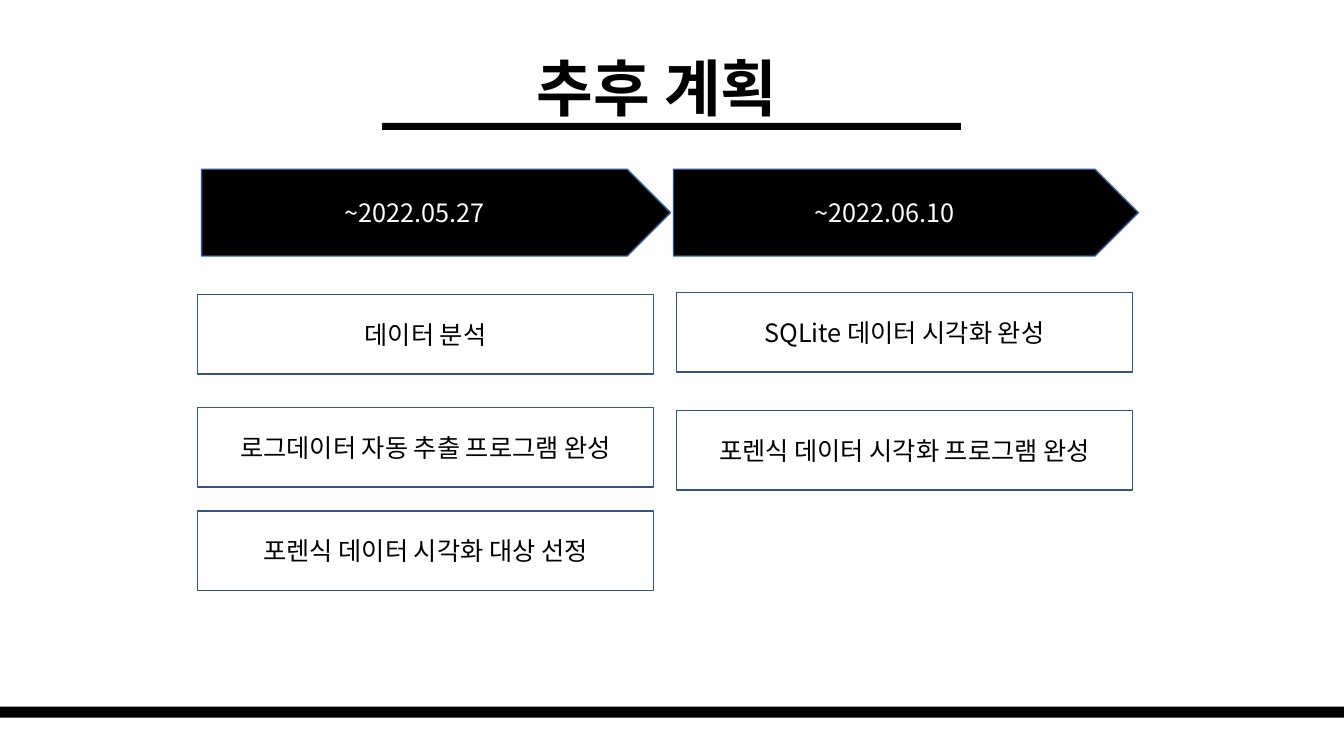
from lxml import etree
from pptx import Presentation
from pptx import util as u
from pptx.dml.color import RGBColor
from pptx.enum import shapes, text
from pptx.oxml.ns import qn

FONT = "Noto Sans CJK KR"
BLACK, WHITE, BLUE = "000000", "FFFFFF", "325491"
BOX_W, BOX_H = 4.52, 0.79
ARROW_TOP, ARROW_H = 1.68, 0.86


def write(shape, wording, color, size, bold=False):
    """Put one centred line in the shape, in the same font for Latin and Korean."""
    shape.text_frame.text = wording
    paragraph = shape.text_frame.paragraphs[0]
    paragraph.alignment = text.PP_ALIGN.CENTER
    run = paragraph.runs[0]
    for name, value in {"name": FONT, "size": u.Pt(size), "bold": bold}.items():
        setattr(run.font, name, value)
    run.font.color.rgb = RGBColor.from_string(color)
    etree.SubElement(run.font._element, qn("a:ea"), typeface=FONT)


def add_block(kind, left, top, width, height, fill, line=None):
    block = slide.shapes.add_shape(kind, *map(u.Inches, (left, top, width, height)))
    block.shadow.inherit = False
    block.fill.solid()
    block.fill.fore_color.rgb = RGBColor.from_string(fill)
    if line:
        block.line.color.rgb = RGBColor.from_string(line)
        block.line.width = u.Pt(1)
    else:
        block.line.fill.background()
    return block


prs = Presentation()
prs.slide_width, prs.slide_height = u.Inches(13.33), u.Inches(7.5)
slide = prs.slides.add_slide(prs.slide_layouts[5])

# Heading with its underline, and the footer bar
heading = slide.shapes.title
place = {"left": 5.19, "top": 0.45, "width": 2.66, "height": 0.84}
for name, inches in place.items():
    setattr(heading, name, u.Inches(inches))
write(heading, "추후 계획", BLACK, 44, bold=True)
frame_format = {
    "word_wrap": False,
    "auto_size": text.MSO_AUTO_SIZE.SHAPE_TO_FIT_TEXT,
    "vertical_anchor": text.MSO_ANCHOR.TOP,
}
for name, value in frame_format.items():
    setattr(heading.text_frame, name, value)

for bar in [(3.79, 1.22, 5.74, 0.07), (0, 7.01, 13.33, 0.11)]:
    add_block(shapes.MSO_SHAPE.RECTANGLE, *bar, BLACK)

# One column per deadline: arrow left and width, box left, tasks by top edge
phases = [
    ("~2022.05.27", 2, 4.65, 1.96, {
        2.92: "데이터 분석",
        4.04: "로그데이터 자동 추출 프로그램 완성",
        5.07: "포렌식 데이터 시각화 대상 선정",
    }),
    ("~2022.06.10", 6.68, 4.61, 6.71, {
        2.9: "SQLite 데이터 시각화 완성",
        4.07: "포렌식 데이터 시각화 프로그램 완성",
    }),
]
for deadline, arrow_left, arrow_width, box_left, tasks in phases:
    arrow = add_block(shapes.MSO_SHAPE.RIGHT_ARROW, arrow_left, ARROW_TOP,
                      arrow_width, ARROW_H, BLACK, BLUE)
    arrow.adjustments[0] = 1
    write(arrow, deadline, WHITE, 18)
    for top, task in tasks.items():
        box = add_block(shapes.MSO_SHAPE.RECTANGLE, box_left, top,
                        BOX_W, BOX_H, WHITE, BLUE)
        write(box, task, BLACK, 18)

prs.save("out.pptx")
